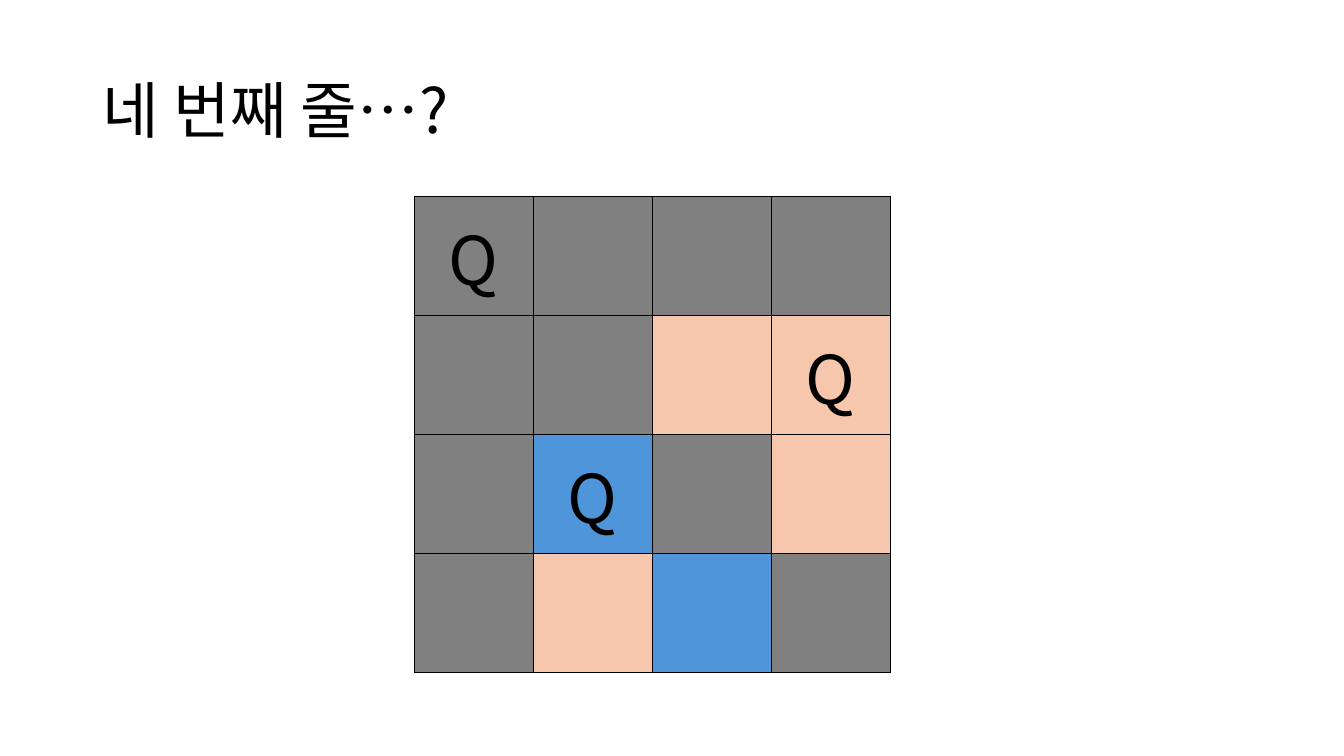
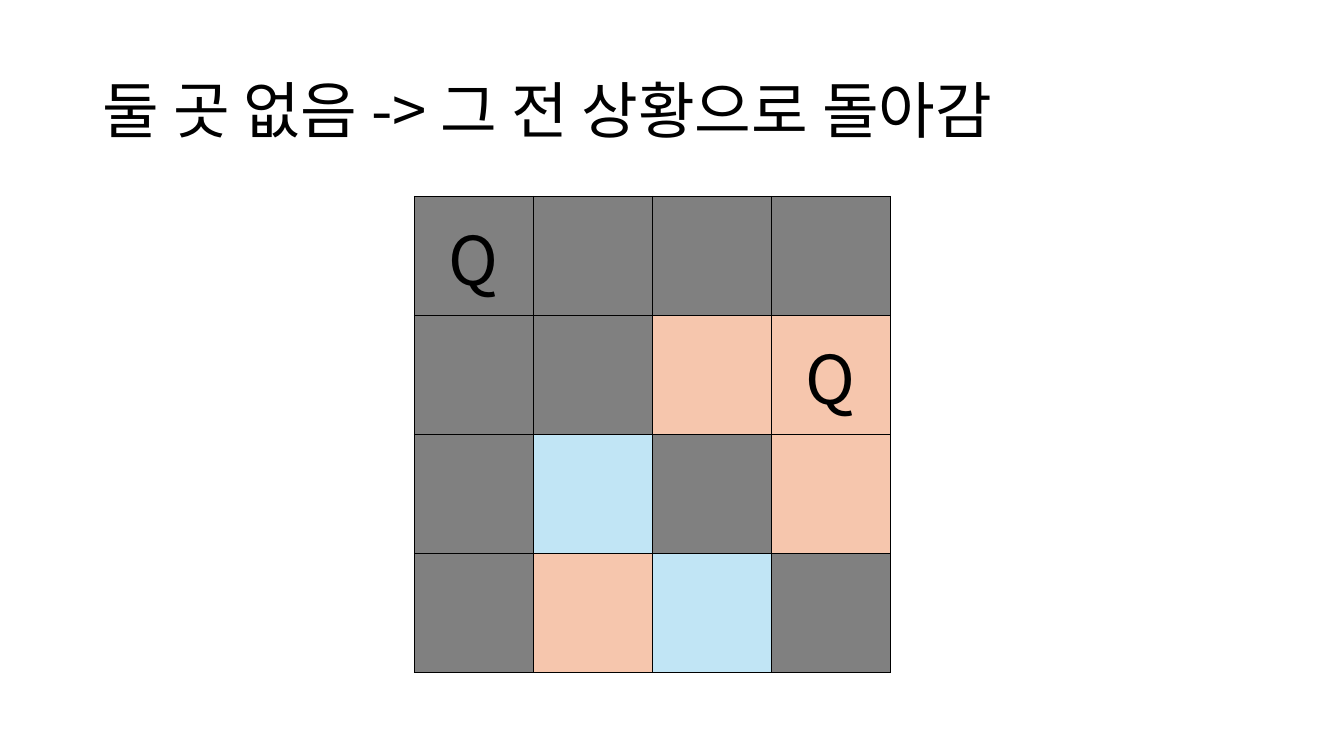
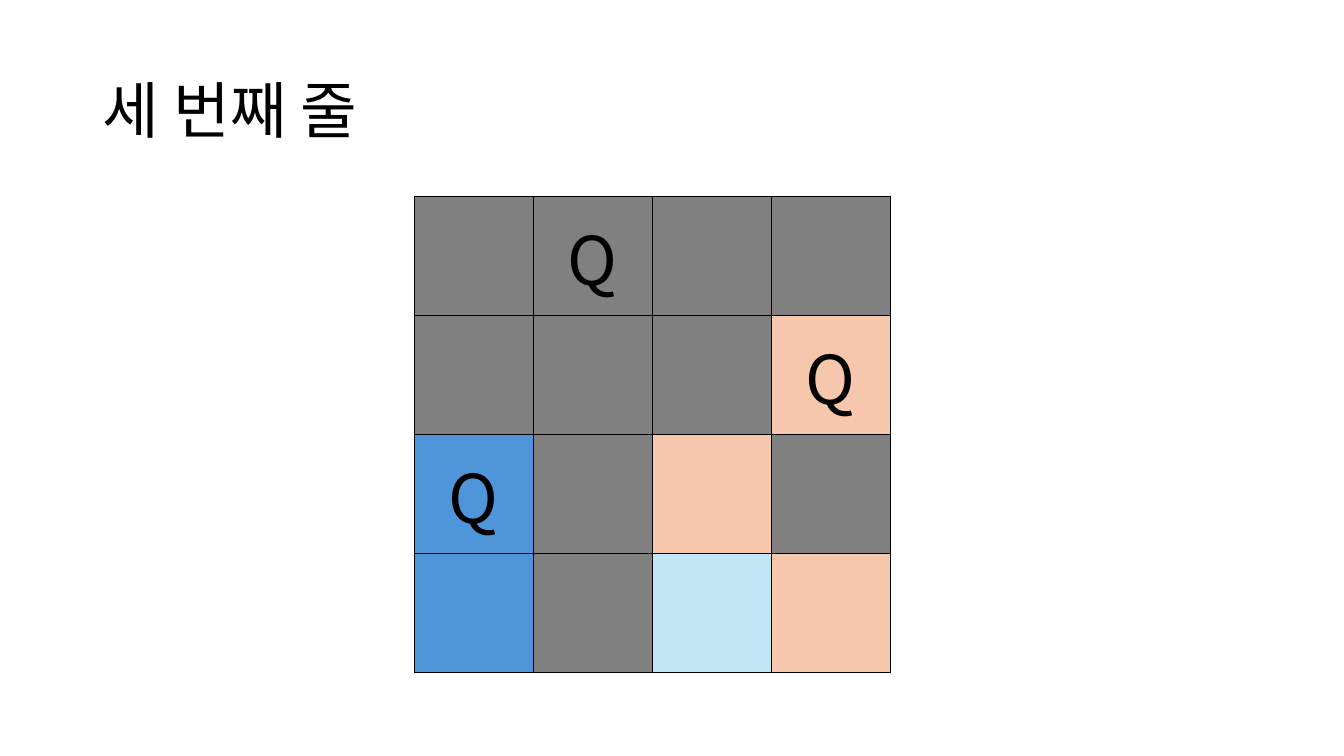
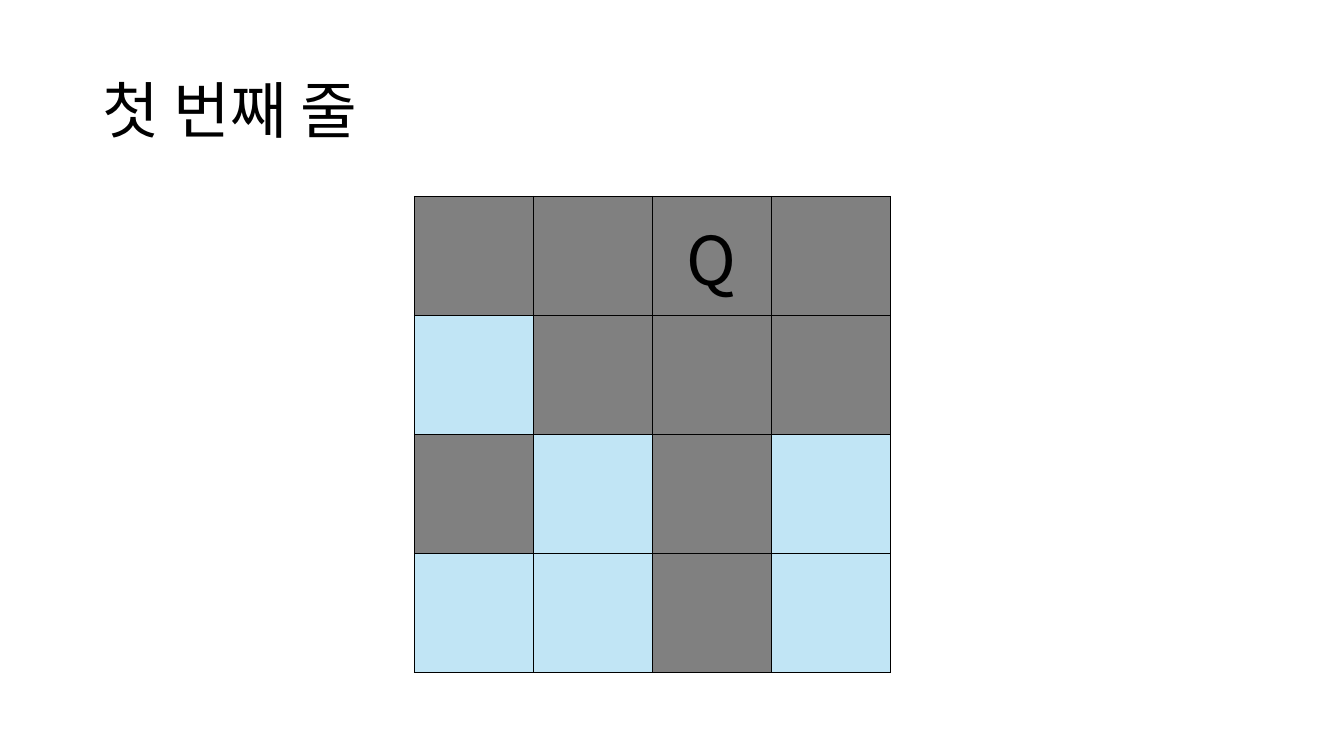
from lxml import etree
from pptx import Presentation
from pptx import util as u
from pptx.dml.color import RGBColor
from pptx.enum import text
from pptx.oxml.ns import qn

FONT = "Noto Sans CJK KR"
COLOURS = {
    "text": "000000",
    "border": "000000",
    "attacked": "808080",
    "second": "F6C6AD",
    "third": "4E95D9",
    "free": "C1E5F5",
}
FILLS = {"A": "attacked", "S": "second", "T": "third", "F": "free"}
SLIDES = [
    {"title": "네 번째 줄…?",
     "board": ["AAAA", "AASS", "ATAS", "ASTA"], "queens": [0, 3, 1]},
    {"title": "둘 곳 없음 -> 그 전 상황으로 돌아감",
     "board": ["AAAA", "AASS", "AFAS", "ASFA"], "queens": [0, 3]},
    {"title": "세 번째 줄",
     "board": ["AAAA", "AAAS", "TASA", "TAFS"], "queens": [1, 3, 0]},
    {"title": "첫 번째 줄",
     "board": ["AAAA", "FAAA", "AFAF", "FFAF"], "queens": [2]},
]
TITLE_BOX = (0.92, 0.4, 11.5, 1.45)
BOARD_LEFT, BOARD_TOP, SQUARE = 4.11, 1.95, 1.18


def style(paragraph, size, alignment):
    paragraph.alignment = alignment
    font = paragraph.font
    font.size = u.Pt(size)
    font.color.rgb = RGBColor.from_string(COLOURS["text"])
    font.name = FONT
    properties = paragraph._p.pPr.find(qn("a:defRPr"))
    etree.SubElement(properties, qn("a:ea"), typeface=FONT)


def add_borders(cell):
    properties = cell._tc.get_or_add_tcPr()
    for index, side in enumerate(("lnL", "lnR", "lnT", "lnB")):
        line = etree.Element(qn(f"a:{side}"), w=str(u.Pt(1)))
        fill = etree.SubElement(line, qn("a:solidFill"))
        etree.SubElement(fill, qn("a:srgbClr"), val=COLOURS["border"])
        properties.insert(index, line)


def add_board(slide, board, queens):
    size = len(board)
    side = u.Inches(SQUARE * size)
    table = slide.shapes.add_table(
        size, size, u.Inches(BOARD_LEFT), u.Inches(BOARD_TOP), side, side).table
    for line in [*table.columns]:
        line.width = u.Inches(SQUARE)
    for row, codes in enumerate(board):
        table.rows[row].height = u.Inches(SQUARE)
        for column, code in enumerate(codes):
            cell = table.cell(row, column)
            cell.fill.solid()
            cell.fill.fore_color.rgb = RGBColor.from_string(COLOURS[FILLS[code]])
            add_borders(cell)
    for row, column in enumerate(queens):
        cell = table.cell(row, column)
        cell.text = "Q"
        cell.vertical_anchor = text.MSO_ANCHOR.MIDDLE
        style(cell.text_frame.paragraphs[0], 48, text.PP_ALIGN.CENTER)


def main():
    presentation = Presentation()
    presentation.slide_width = u.Inches(13.33)
    presentation.slide_height = u.Inches(7.5)
    layout = presentation.slide_layouts.get_by_name("Title Only")
    heading = layout.placeholders[0]
    heading.left, heading.top, heading.width, heading.height = map(u.Inches, TITLE_BOX)
    heading.text_frame.vertical_anchor = text.MSO_ANCHOR.MIDDLE
    for content in SLIDES:
        slide = presentation.slides.add_slide(layout)
        title = slide.shapes.title
        title.text = content["title"]
        paragraph = title.text_frame.paragraphs[0]
        paragraph.line_spacing = 0.9
        style(paragraph, 44, text.PP_ALIGN.LEFT)
        add_board(slide, content["board"], content["queens"])
    presentation.save("out.pptx")


if __name__ == "__main__":
    main()
